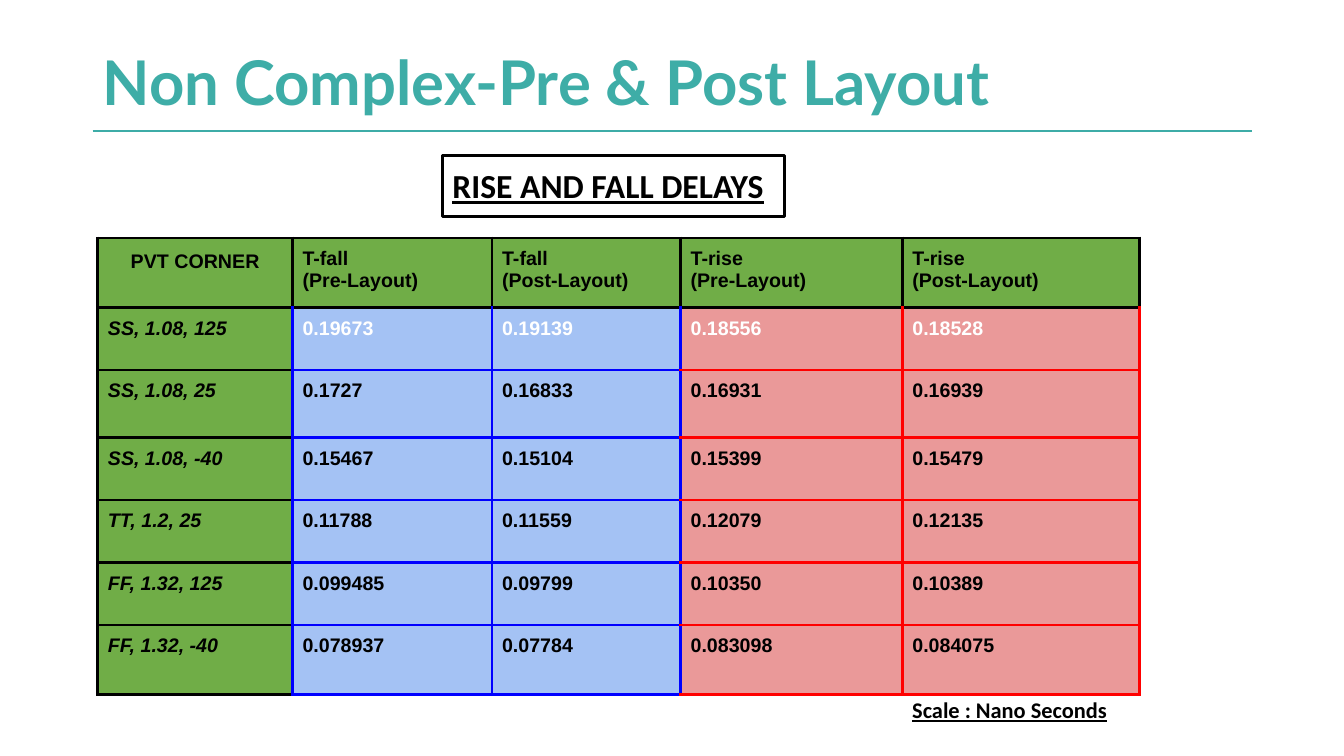
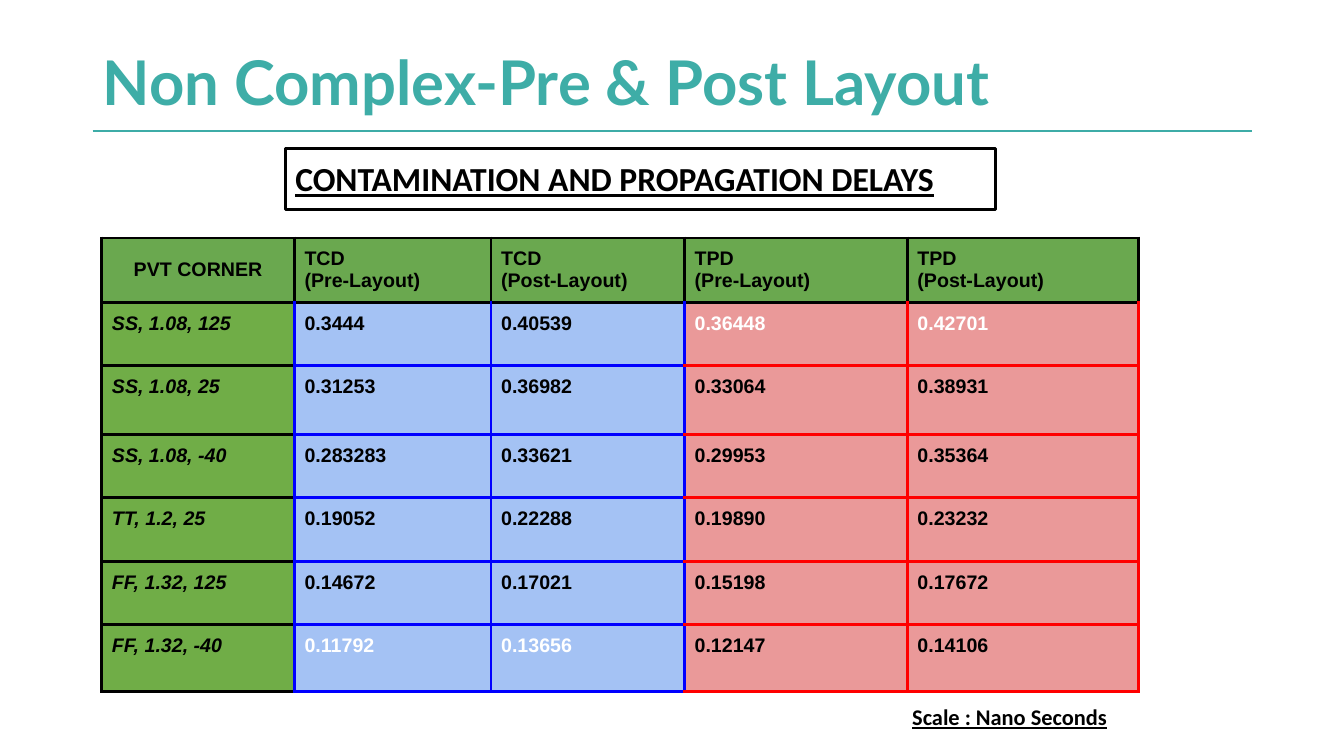
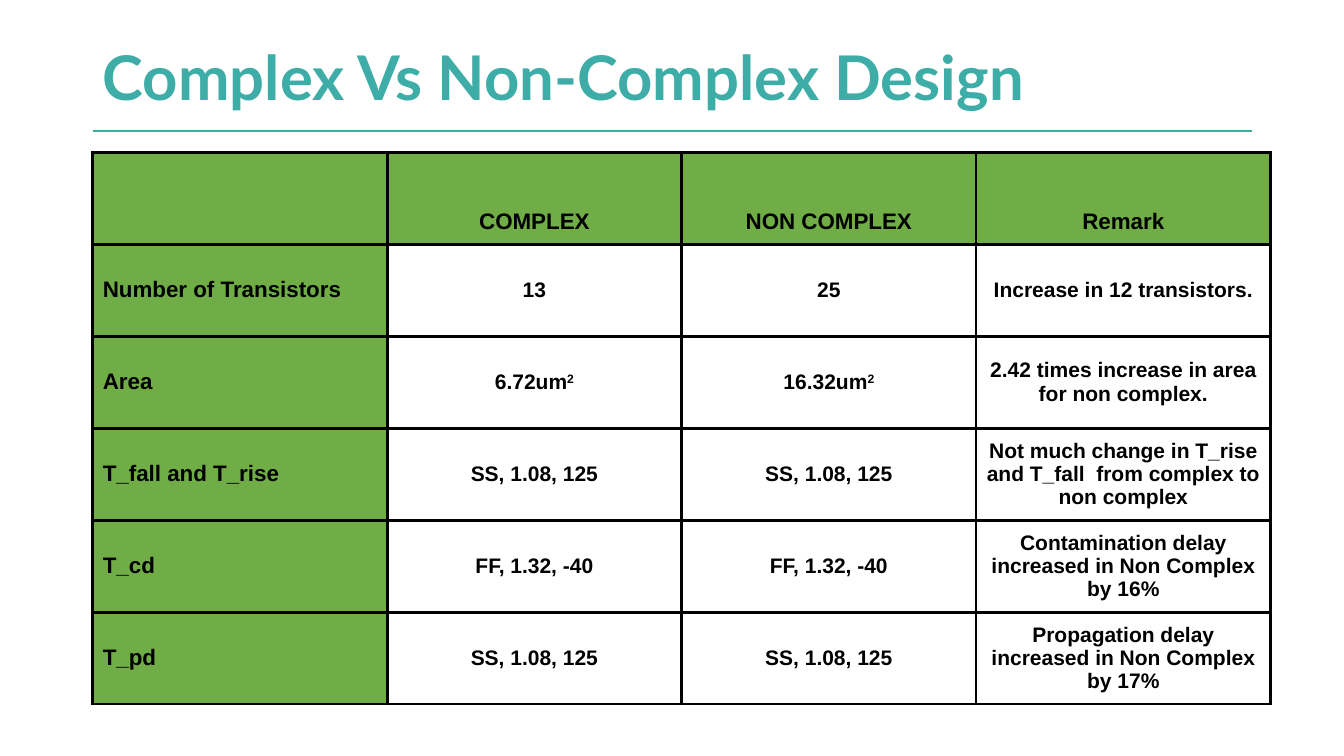
import pptx
import pptx.util
import pptx.dml.color
import pptx.enum.shapes
import pptx.enum.text
import pptx.oxml
import pptx.oxml.ns

RGBColor = pptx.dml.color.RGBColor
TEAL = RGBColor(0x3E, 0xAD, 0xA7)
RULE = RGBColor(0x3D, 0xAC, 0xA7)
BLACK = RGBColor(0, 0, 0)
WHITE = RGBColor(255, 255, 255)
BLUE = RGBColor(0, 0, 255)
RED = RGBColor(255, 0, 0)
GREEN = RGBColor(0x70, 0xAD, 0x47)
MOSS = RGBColor(0x6A, 0xA8, 0x4F)
SKY = RGBColor(0xA4, 0xC2, 0xF4)
ROSE = RGBColor(0xEA, 0x99, 0x99)

ALIGN = pptx.enum.text.PP_ALIGN
ANCHOR = pptx.enum.text.MSO_ANCHOR
PAD = pptx.util.Inches(0.1)
EDGE = pptx.util.Pt(2.25)

deck = pptx.Presentation()
deck.slide_width = pptx.util.Inches(13.33)
deck.slide_height = pptx.util.Inches(7.5)
# One column or row is a hundredth of the slide.
COL = deck.slide_width / 100
ROW = deck.slide_height / 100


def write(holder, text, size, face="Arial", ink=BLACK, align=ALIGN.LEFT,
          anchor=ANCHOR.TOP, italic=False, under=False):
    """Fill a cell or text frame; what follows ^ is set as superscript."""
    holder.margin_top = holder.margin_bottom = PAD
    holder.margin_left = holder.margin_right = PAD
    holder.vertical_anchor = anchor
    frame = getattr(holder, "text_frame", holder)
    base, _, power = text.partition("^")
    frame.text = base
    if power:
        run = frame.paragraphs[0].add_run()
        run.text = power
        run._r.get_or_add_rPr().set("baseline", "30000")
    for para in frame.paragraphs:
        para.alignment = align
        font = para.font
        font.size, font.name, font.bold = pptx.util.Pt(size), face, True
        font.italic, font.underline = italic, under
        font.color.rgb = ink


def paint(cell, fill, left, right, top, low):
    """Set the fill (None for clear) and the four border colours of a cell."""
    if fill is None:
        cell.fill.background()
    else:
        cell.fill.solid()
        cell.fill.fore_color.rgb = fill
    props = cell._tc.get_or_add_tcPr()
    for spot, (side, ink) in enumerate(zip("LRTB", (left, right, top, low))):
        props.insert(spot, pptx.oxml.parse_xml(
            f'<a:ln{side} {pptx.oxml.ns.nsdecls("a")} w="{EDGE}"><a:solidFill>'
            f'<a:srgbClr val="{ink}"/></a:solidFill></a:ln{side}>'))


# Title, title place, table corner, column widths, row heights
SHEETS = [
    ("Non Complex-Pre & Post Layout", (6.9, 5.33, 77.49, 12), (7.28, 31.47),
     (14.48, 14.85, 14.03, 16.5, 17.63),
     (9.2, 8.27, 8.93, 8.27, 8.27, 8.27, 9.2)),
    ("Non Complex-Pre & Post Layout", (6.9, 5.33, 77.49, 12), (7.58, 31.47),
     (14.33, 14.63, 14.4, 16.58, 17.18),
     (8.4, 8.4, 9.07, 8.4, 8.4, 8.4, 8.8)),
    ("Complex Vs Non-Complex Design", (6.9, 6.27, 82.82, 16), (6.9, 20.13),
     (21.91,) * 4, (12.17,) * 6),
]

layout = deck.slide_layouts[5]
pages, grids = [], []
for name, (x, y, w, h), (left, top), cols, rows in SHEETS:
    page = deck.slides.add_slide(layout)
    title = page.shapes.title
    title.left, title.top = int(x * COL), int(y * ROW)
    title.width, title.height = int(w * COL), int(h * ROW)
    write(title.text_frame, name, 44, "Lato", TEAL, anchor=ANCHOR.MIDDLE)
    title.text_frame.auto_size = pptx.enum.text.MSO_AUTO_SIZE.NONE
    title.text_frame.paragraphs[0].line_spacing = 0.9
    grid = page.shapes.add_table(
        len(rows), len(cols), int(left * COL), int(top * ROW),
        int(sum(cols) * COL), int(sum(rows) * ROW)).table
    grid.first_row = grid.horz_banding = False
    for c, wide in enumerate(cols):
        grid.columns[c].width = int(wide * COL)
    for r, tall in enumerate(rows):
        grid.rows[r].height = int(tall * ROW)
    pages.append(page)
    grids.append(grid)

# The taller title of the last slide starts at the top of its box
last = pages[2].shapes.title.text_frame
last.vertical_anchor = ANCHOR.TOP
last.margin_top = 0

# The rule under the title belongs to the layout
rule = pages[0].shapes.add_connector(
    pptx.enum.shapes.MSO_CONNECTOR.STRAIGHT, int(6.9 * COL), int(17.33 * ROW),
    int(93.17 * COL), int(17.33 * ROW))
rule.line.color.rgb = RULE
rule.line.width = pptx.util.Pt(0.75)
rule.element.spPr.append(pptx.oxml.parse_xml(
    f'<a:effectLst {pptx.oxml.ns.nsdecls("a")}/>'))
layout.shapes.element.append(rule.element)

CORNERS = ["SS, 1.08, 125", "SS, 1.08, 25", "SS, 1.08, -40",
           "TT, 1.2, 25", "FF, 1.32, 125", "FF, 1.32, -40"]
# Label, label place, scale row, header fill, extra header pad in inches,
# measures, cells in white, values
DELAYS = [
    ("RISE AND FALL DELAYS", (32.93, 20.53, 25.43), 90.8, GREEN, 0.22,
     ("T-fall", "T-rise"), {(1, 1), (1, 2), (1, 3), (1, 4)},
     [("0.19673", "0.19139", "0.18556", "0.18528"),
      ("0.1727", "0.16833", "0.16931", "0.16939"),
      ("0.15467", "0.15104", "0.15399", "0.15479"),
      ("0.11788", "0.11559", "0.12079", "0.12135"),
      ("0.099485", "0.09799", "0.10350", "0.10389"),
      ("0.078937", "0.07784", "0.083098", "0.084075")]),
    ("CONTAMINATION AND PROPAGATION DELAYS", (21.23, 19.6, 52.81), 91.73,
     MOSS, 0, ("TCD", "TPD"), {(1, 3), (1, 4), (6, 1), (6, 2)},
     [("0.3444", "0.40539", "0.36448", "0.42701"),
      ("0.31253", "0.36982", "0.33064", "0.38931"),
      ("0.283283", "0.33621", "0.29953", "0.35364"),
      ("0.19052", "0.22288", "0.19890", "0.23232"),
      ("0.14672", "0.17021", "0.15198", "0.17672"),
      ("0.11792", "0.13656", "0.12147", "0.14106")]),
]

for page, grid, delay in zip(pages, grids, DELAYS):
    label, (x, y, w), low, head, extra, kinds, pale, values = delay
    heads = ["PVT CORNER"] + [f"{kind}\n({step}-Layout)" for kind in kinds
                              for step in ("Pre", "Post")]
    table = [heads] + [[corner, *line]
                       for corner, line in zip(CORNERS, values)]
    for r, line in enumerate(table):
        for c, text in enumerate(line):
            cell = grid.cell(r, c)
            if r == 0:
                fill, ink = head, BLACK
            elif c == 0:
                fill, ink = GREEN, BLACK
            else:
                fill, ink = (SKY, BLUE) if c < 3 else (ROSE, RED)
            paint(cell, fill,
                  left=BLUE if r and c == 3 else ink,
                  right=BLUE if r and c == 0 else ink,
                  top=BLACK if r == 1 else ink, low=ink)
            first = r == c == 0
            write(cell, text, 14, ink=WHITE if (r, c) in pale else BLACK,
                  align=ALIGN.CENTER if first else ALIGN.LEFT,
                  anchor=ANCHOR.MIDDLE if first else ANCHOR.TOP,
                  italic=c == 0 and r > 0)
    grid.cell(0, 0).margin_bottom = PAD + pptx.util.Inches(extra)

    scale = page.shapes.add_textbox(int(67.14 * COL), int(low * ROW),
                                    int(22.73 * COL), int(6.27 * ROW))
    scale.text_frame.word_wrap = True
    write(scale.text_frame, "Scale : Nano Seconds", 16, "Calibri", under=True)

    box = page.shapes.add_shape(
        pptx.enum.shapes.MSO_SHAPE.RECTANGLE, int(x * COL), int(y * ROW),
        int(w * COL), int(8.13 * ROW))
    box.shadow.inherit = False
    box.fill.background()
    box.line.color.rgb = BLACK
    box.line.width = EDGE
    write(box.text_frame, label, 24, "Calibri", under=True)

DESIGN = [
    ("", "COMPLEX", "NON COMPLEX", "Remark"),
    ("Number of Transistors", "13", "25", "Increase in 12 transistors."),
    ("Area", "6.72um^2", "16.32um^2",
     "2.42 times increase in area for non complex."),
    ("T_fall and T_rise", CORNERS[0], CORNERS[0],
     "Not much change in T_rise and T_fall  from complex to non complex"),
    ("T_cd", CORNERS[5], CORNERS[5],
     "Contamination delay increased in Non Complex by 16%"),
    ("T_pd", CORNERS[0], CORNERS[0],
     "Propagation delay increased in Non Complex by 17%"),
]
for r, line in enumerate(DESIGN):
    for c, text in enumerate(line):
        cell = grids[2].cell(r, c)
        outer = r == 0 or c == 0
        paint(cell, GREEN if outer else None, BLACK, BLACK, BLACK, BLACK)
        write(cell, text, 16 if outer else 15,
              align=ALIGN.CENTER if c else ALIGN.LEFT,
              anchor=ANCHOR.MIDDLE if r else ANCHOR.BOTTOM)

deck.save("out.pptx")
